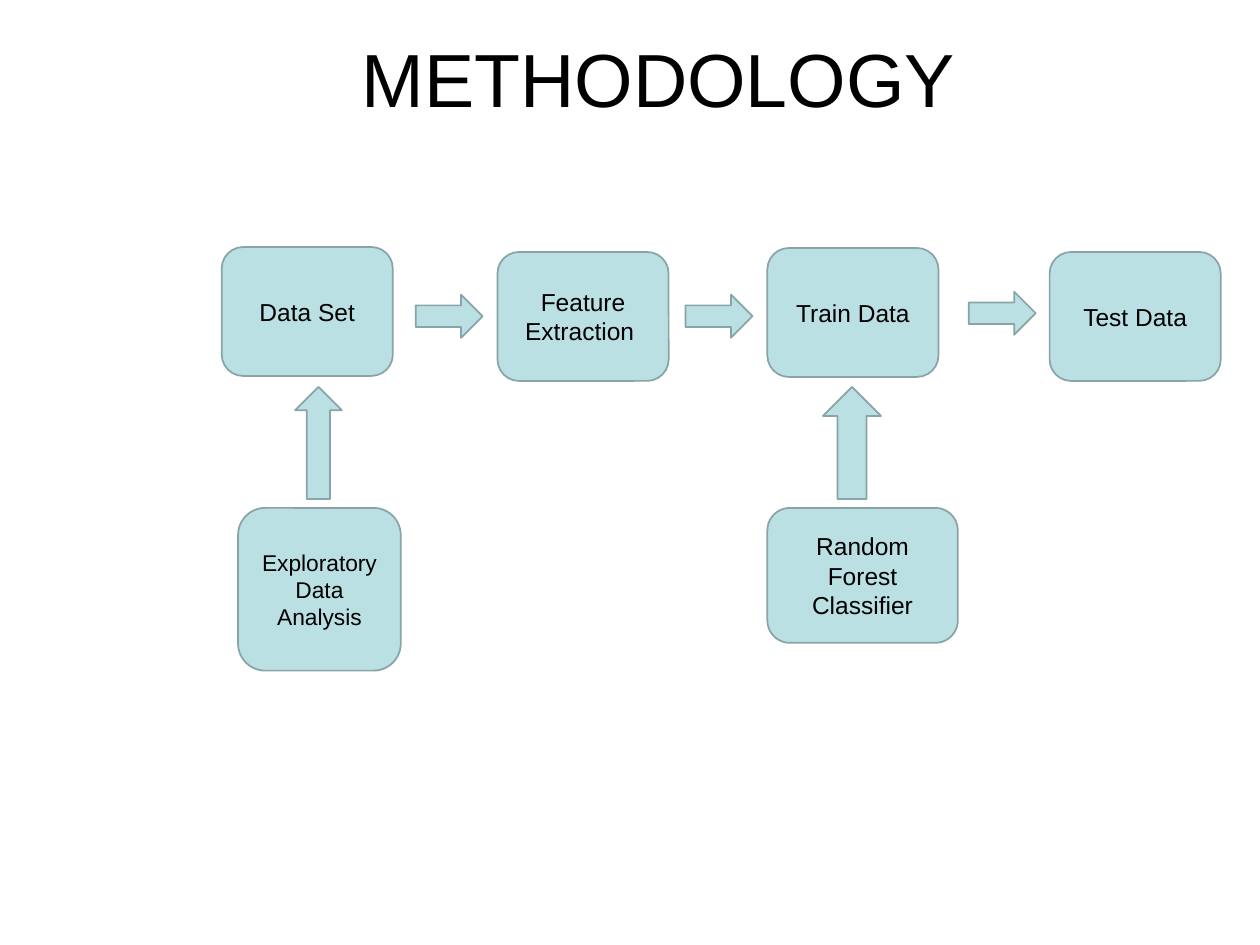
from pptx import Presentation
from pptx.dml.color import RGBColor
from pptx.enum.shapes import MSO_SHAPE
from pptx.enum.text import MSO_ANCHOR, PP_ALIGN
from pptx.util import Cm, Pt

COLORS = {"fill": "BBE0E3", "line": "89A4A7", "text": "000000"}


def add_run(p, text, size):
    r = p.add_run()
    r.text = text
    r.font.size = Pt(size)
    r.font.name = "Arial"
    r.font.color.rgb = RGBColor.from_string(COLORS["text"])


def add_block(s, kind, left, top, width, height):
    """Add a filled, outlined shape without a shadow; lengths in cm."""
    sp = s.shapes.add_shape(kind, Cm(left), Cm(top), Cm(width), Cm(height))
    sp.shadow.inherit = False
    sp.fill.solid()
    sp.fill.fore_color.rgb = RGBColor.from_string(COLORS["fill"])
    sp.line.color.rgb = RGBColor.from_string(COLORS["line"])
    sp.line.width = Pt(1)
    return sp


prs = Presentation()
prs.slide_width, prs.slide_height = Cm(25.4), Cm(19.05)
s = prs.slides.add_slide(prs.slide_layouts[5])

title = s.shapes.title
title.left, title.top, title.width, title.height = Cm(7.04), Cm(0.53), Cm(12.47), Cm(2.08)
tf = title.text_frame
tf.word_wrap = False
tf.vertical_anchor = MSO_ANCHOR.TOP
p = tf.paragraphs[0]
p.alignment = PP_ALIGN.LEFT
add_run(p, "METHODOLOGY", 43)

# Text, size, left, top, width, height
steps = [
    ("Data Set", 14, 4.47, 4.98, 3.45, 2.6),
    ("Feature Extraction ", 14, 10.03, 5.08, 3.45, 2.6),
    ("Train Data", 14, 15.47, 5, 3.45, 2.6),
    ("Test Data", 14, 21.16, 5.08, 3.45, 2.6),
    ("Random Forest Classifier", 14, 15.47, 10.24, 3.84, 2.72),
    ("Exploratory Data Analysis", 13, 4.8, 10.24, 3.28, 3.28),
]
for text, size, *box in steps:
    sp = add_block(s, MSO_SHAPE.ROUNDED_RECTANGLE, *box)
    tf = sp.text_frame
    tf.word_wrap = True
    tf.vertical_anchor = MSO_ANCHOR.MIDDLE
    p = tf.paragraphs[0]
    p.alignment = PP_ALIGN.CENTER
    add_run(p, text, size)

for left, top in [(8.38, 5.94), (13.82, 5.94), (19.53, 5.88)]:
    add_block(s, MSO_SHAPE.RIGHT_ARROW, left, top, 1.35, 0.87)

for left, width in [(5.95, 0.94), (16.59, 1.17)]:
    add_block(s, MSO_SHAPE.UP_ARROW, left, 7.8, width, 2.26)

prs.save("out.pptx")
